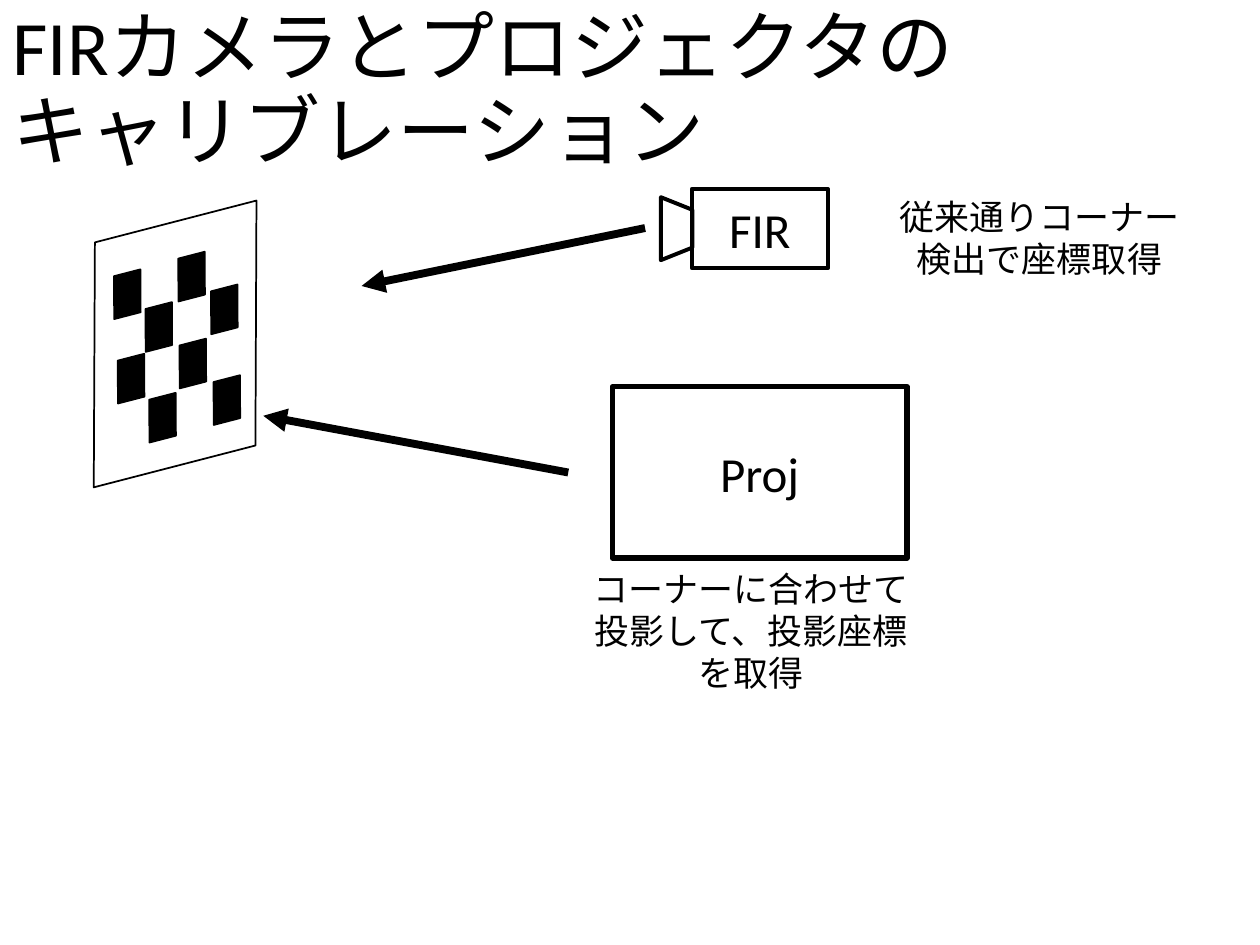
from lxml import etree
from pptx import Presentation
from pptx.dml.color import RGBColor
from pptx.enum.shapes import MSO_CONNECTOR, MSO_SHAPE as Shape
from pptx.enum.text import MSO_ANCHOR, MSO_AUTO_SIZE, PP_ALIGN
from pptx.oxml.ns import qn
from pptx.util import Inches, Pt

BLACK = RGBColor(0, 0, 0)
WHITE = RGBColor(255, 255, 255)
TITLE_ONLY = 5


class Diagram:
    font = "Calibri"

    def __init__(self, slide):
        self.slide = slide

    def set_text(self, frame, lines, size, align=PP_ALIGN.CENTER, spacing=None):
        frame.word_wrap = True
        frame.auto_size = MSO_AUTO_SIZE.NONE
        frame.vertical_anchor = MSO_ANCHOR.MIDDLE
        for i, line in enumerate(lines):
            paragraph = frame.add_paragraph() if i else frame.paragraphs[0]
            paragraph.alignment = align
            paragraph.line_spacing = spacing
            run = paragraph.add_run()
            run.text = line
            run.font.name = self.font
            run.font.size = Pt(size)
            run.font.color.rgb = BLACK

    def title(self, text, left, top, width, height):
        title = self.slide.shapes.title
        title.left, title.top = Inches(left), Inches(top)
        title.width, title.height = Inches(width), Inches(height)
        self.set_text(title.text_frame, [text], 44, PP_ALIGN.LEFT, 0.9)

    def note(self, lines, *box):
        note = self.slide.shapes.add_textbox(*map(Inches, box))
        self.set_text(note.text_frame, lines, 20)

    def outline(self, kind, box, weight, fill=None, rotation=0, shapes=None):
        """Add a black-lined preset shape to the slide or to a group's shapes."""
        shapes = self.slide.shapes if shapes is None else shapes
        shape = shapes.add_shape(kind, *map(Inches, box))
        shape.shadow.inherit = False
        shape.rotation = rotation
        shape.line.color.rgb = BLACK
        shape.line.width = Pt(weight)
        if fill is None:
            shape.fill.background()
        else:
            shape.fill.solid()
            shape.fill.fore_color.rgb = fill
        return shape

    def device(self, name, weight, *box):
        body = self.outline(Shape.RECTANGLE, box, weight, WHITE)
        self.set_text(body.text_frame, [name], 28)

    def checkerboard(self, board, square_size, squares):
        """Draw slanted panels whose sides stand upright after rotation."""
        group = self.slide.shapes.add_group_shape()
        panels = [(board, WHITE, 0.272)]
        panels += [((*corner, *square_size), BLACK, 0.277) for corner in squares]
        for box, fill, slant in panels:
            panel = self.outline(Shape.PARALLELOGRAM, box, 1, fill, 165.5, group.shapes)
            panel.adjustments[0] = slant

    def arrow(self, *ends):
        arrow = self.slide.shapes.add_connector(
            MSO_CONNECTOR.STRAIGHT, *map(Inches, ends))
        arrow.line.color.rgb = BLACK
        arrow.line.width = Pt(4.5)
        properties = arrow.element.spPr
        etree.SubElement(properties.find(qn("a:ln")), qn("a:tailEnd"), type="triangle")
        etree.SubElement(properties, qn("a:effectLst"))


def main():
    deck = Presentation()
    deck.slide_width, deck.slide_height = Inches(10), Inches(7.5)
    diagram = Diagram(deck.slides.add_slide(deck.slide_layouts[TITLE_ONLY]))

    diagram.title("FIRカメラとプロジェクタのキャリブレーション", 0, 0.01, 8.62, 1.45)

    diagram.device("FIR", 2.25, 5.49, 1.5, 1.08, 0.63)
    diagram.device("Proj", 3, 4.86, 3.07, 2.34, 1.36)
    diagram.note(["コーナーに合わせて投影して、投影座標を取得"], 4.51, 4.01, 2.9, 1.99)
    diagram.note(["従来通りコーナー", "検出で座標取得"], 6.8, 0.89, 2.9, 1.99)

    diagram.arrow(5.12, 1.81, 2.87, 2.27)
    diagram.arrow(4.51, 3.75, 2.09, 3.3)
    lens = (5.12, 1.69, 0.5, 0.25)
    diagram.outline(Shape.FLOWCHART_MANUAL_OPERATION, lens, 2.25, rotation=270)

    diagram.checkerboard(
        board=(0.48, 1.79, 1.82, 1.88),
        square_size=(0.3, 0.33),
        squares=[
            (0.86, 2.17), (1.11, 2.43), (1.38, 2.72), (1.65, 3.01),
            (1.37, 2.03), (0.89, 2.84), (1.14, 3.15), (1.63, 2.29),
        ],
    )
    deck.save("out.pptx")


if __name__ == "__main__":
    main()
